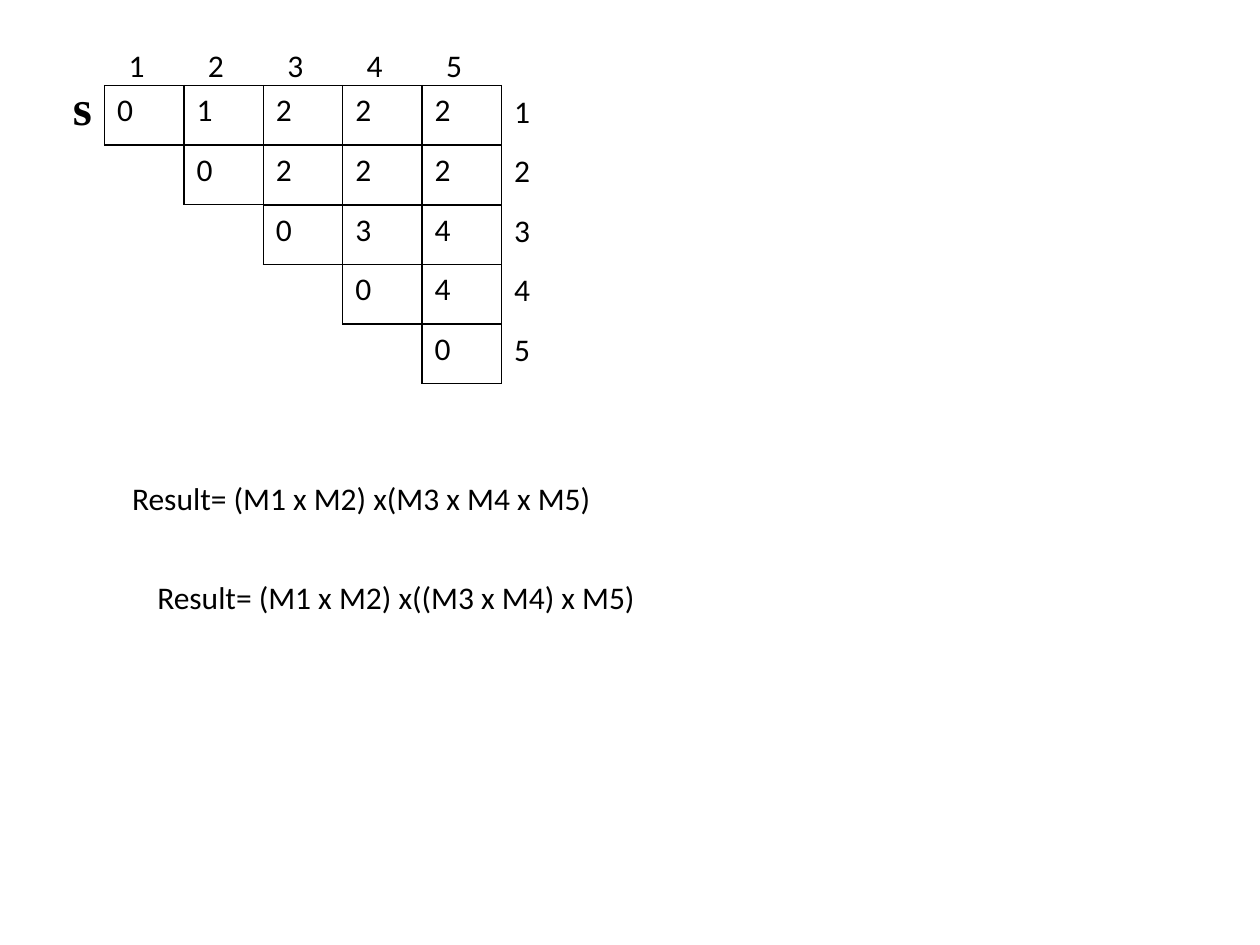
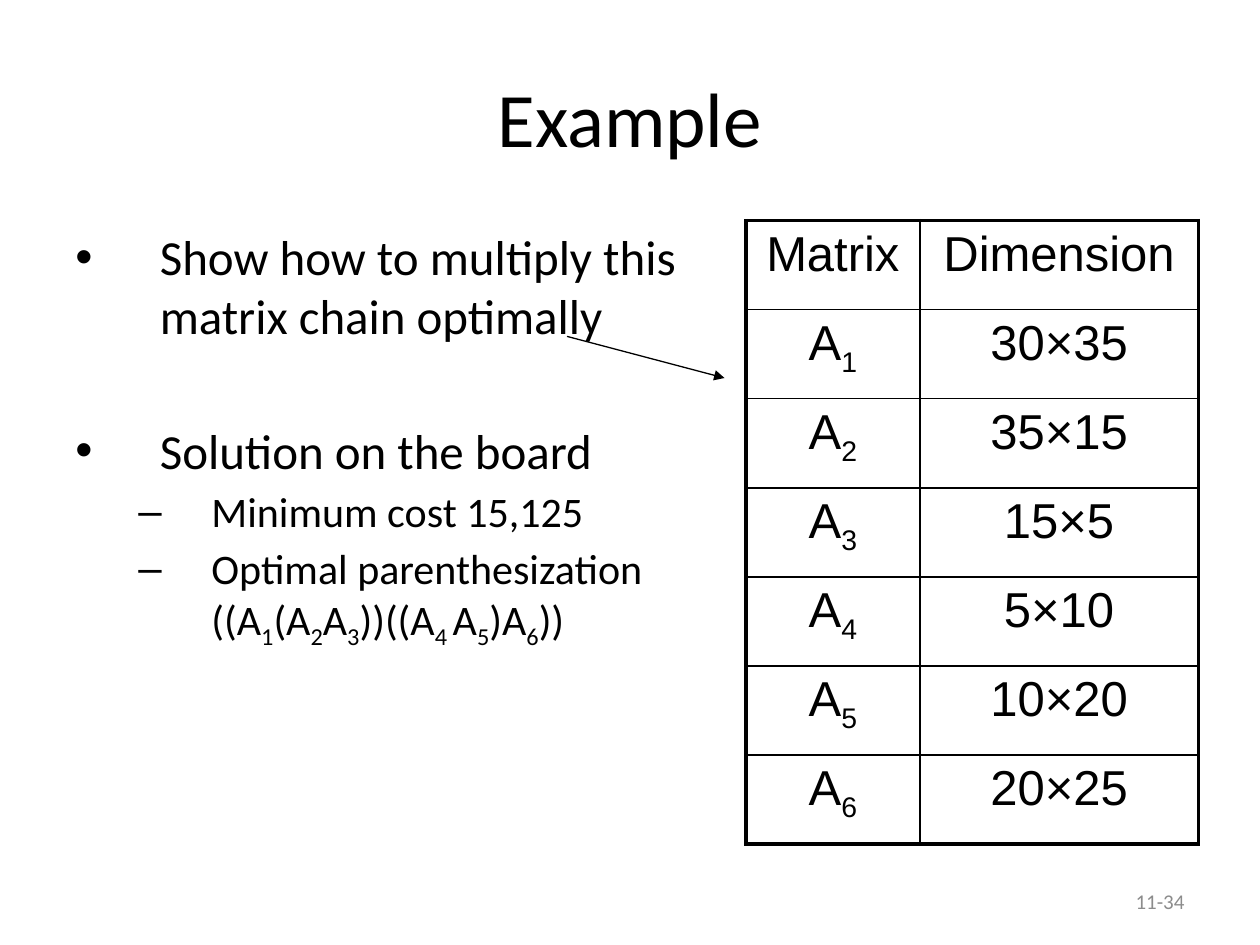
from lxml import etree
from pptx import Presentation
from pptx import util as u
from pptx.dml.color import RGBColor
from pptx.enum import shapes, text
from pptx.oxml.ns import qn

INK, GREY = "000000", "8C8C8C"
FONT = "Calibri"
PLAIN = "{2D5ABB26-0587-4C30-8999-92F81FD0307C}"  # table style without grid
LEFT, MID, RIGHT = text.PP_ALIGN.LEFT, text.PP_ALIGN.CENTER, text.PP_ALIGN.RIGHT
TOP, CENTRE = text.MSO_ANCHOR.TOP, text.MSO_ANCHOR.MIDDLE


def color(code):
    return RGBColor.from_string(code)


def sub(node, tag, **attrs):
    return etree.SubElement(node, qn(tag), attrs)


def write(para, words, size=18, font=FONT, ink=INK, bold=False, align=LEFT, before=0):
    """Fill a paragraph; parts between bars become subscripts."""
    para.alignment = align
    para.space_before = u.Pt(before)
    for i, part in enumerate(words.split("|")):
        if not part:
            continue
        run = para.add_run()
        run.text = part
        run.font.size, run.font.name, run.font.bold = u.Pt(size), font, bold
        run.font.color.rgb = color(ink)
        if i % 2:
            run.font._element.set("baseline", "-25000")


def frame(slide, box, anchor=TOP):
    shape = slide.shapes.add_textbox(*map(u.Inches, box))
    shape.text_frame.word_wrap = True
    shape.text_frame.vertical_anchor = anchor
    return shape.text_frame


def label(slide, box, words, anchor=TOP, **form):
    write(frame(slide, box, anchor).paragraphs[0], words, **form)


def edge(cell, widths):
    """Draw left, right, top and bottom borders, widths in points."""
    props = cell._tc.get_or_add_tcPr()
    for i, (side, width) in enumerate(zip("LRTB", widths)):
        line = etree.Element(qn("a:ln" + side), w=str(u.Pt(width)))
        sub(sub(line, "a:solidFill"), "a:srgbClr", val=INK)
        props.insert(i, line)


def grid(slide, x, y, cols, high, rows, line=0, rim=0, **form):
    """Place a table with equal rows; rim is the outer border width."""
    last, end = len(rows) - 1, len(cols) - 1
    shape = slide.shapes.add_table(
        len(rows), len(cols), u.Inches(x), u.Inches(y),
        u.Inches(sum(cols)), u.Inches(high * len(rows)))
    table = shape.table
    table.first_row = table.horz_banding = False
    table._tbl.tblPr.find(qn("a:tableStyleId")).text = PLAIN
    for col, wide in zip(table.columns, cols):
        col.width = u.Inches(wide)
    for r, row in enumerate(rows):
        table.rows[r].height = u.Inches(high)
        for c, words in enumerate(row):
            cell = table.cell(r, c)
            cell.fill.background()
            write(cell.text_frame.paragraphs[0], words, **form)
            if line:
                outer = (c == 0, c == end, r == 0, r == last)
                edge(cell, [rim if out else line for out in outer])


def splits(slide, x, y):
    """Upper triangle of split points with its row and column numbers."""
    wide, high = 0.63, 1.89 / 4
    rows = ["01222", "0222", "034", "04", "0"]
    size = len(rows)
    for i, row in enumerate(rows):
        grid(slide, x + i * wide, y + i * high, [wide] * len(row), high,
             [row], line=1, rim=1)
    label(slide, (x - 0.35, y - 0.12, 0.47, 0.47), "s", size=28,
          font="Times New Roman", bold=True)
    nums = "12345"
    grid(slide, x + 0.09, y - 0.35, [wide] * size, high, [nums])
    grid(slide, x + size * wide, y + 0.01, [0.58], high, list(nums))


def result(slide, x, y, words):
    label(slide, (x, y, 7.24, 0.4), "Result= " + words)


def points(slide, box):
    """Bulleted list in two levels."""
    forms = [("•", 0.67, 0.67, 28), ("–", 1.08, 0.58, 24)]
    items = [
        (0, 4.5, "Show how to multiply this matrix chain optimally"),
        (0, 43.5, "Solution on the board"),
        (1, 3.7, "Minimum cost 15,125"),
        (1, 3.7, "Optimal parenthesization "
                 "((A|1|(A|2|A|3|))((A|4 |A|5|)A|6|))"),
    ]
    body = frame(slide, box)
    for i, (level, gap, words) in enumerate(items):
        para = body.add_paragraph() if i else body.paragraphs[0]
        mark, left, hang, size = forms[level]
        write(para, words, size=size, before=gap)
        para.level = level
        props = para._p.get_or_add_pPr()
        props.set("marL", str(u.Inches(left)))
        props.set("indent", str(-u.Inches(hang)))
        sub(props, "a:buFont", typeface="Arial")
        sub(props, "a:buChar", char=mark)


def sizes(slide, x, y):
    """Table of matrix dimensions."""
    dims = [30, 35, 15, 5, 10, 20, 25]
    rows = [("Matrix", "Dimension")]
    rows += [(f"A|{i}|", f"{a}×{b}")
             for i, (a, b) in enumerate(zip(dims, dims[1:]), 1)]
    grid(slide, x, y, [1.38, 2.21], 4.95 / len(rows), rows, line=1, rim=2.25,
         size=28, font="Arial", align=MID, before=4.5)


def arrow(slide, start, end):
    line = slide.shapes.add_connector(
        shapes.MSO_CONNECTOR.STRAIGHT, *map(u.Inches, start + end))
    line.line.color.rgb = color(INK)
    line.line.width = u.Pt(0.75)
    sub(line.line._get_or_add_ln(), "a:tailEnd", type="triangle")
    sub(line._element.spPr, "a:effectLst")


def trace(slide):
    splits(slide, 0.83, 0.68)
    result(slide, 0.95, 3.75, "(M1 x M2) x(M3 x M4 x M5)")
    result(slide, 1.15, 4.54, "(M1 x M2) x((M3 x M4) x M5)")


def example(slide):
    label(slide, (0.5, 0.3, 9, 1.25), "Example", CENTRE, size=44, align=MID)
    points(slide, (0.5, 1.75, 5.17, 4.95))
    sizes(slide, 5.92, 1.75)
    arrow(slide, (4.5, 2.67), (5.75, 3))
    label(slide, (7.17, 6.95, 2.33, 0.4), "11-34", CENTRE, size=12,
          ink=GREY, align=RIGHT)


def main():
    deck = Presentation()
    deck.slide_width, deck.slide_height = u.Inches(10), u.Inches(7.5)
    for build in (trace, example):
        build(deck.slides.add_slide(deck.slide_layouts[6]))
    deck.save("out.pptx")


if __name__ == "__main__":
    main()
